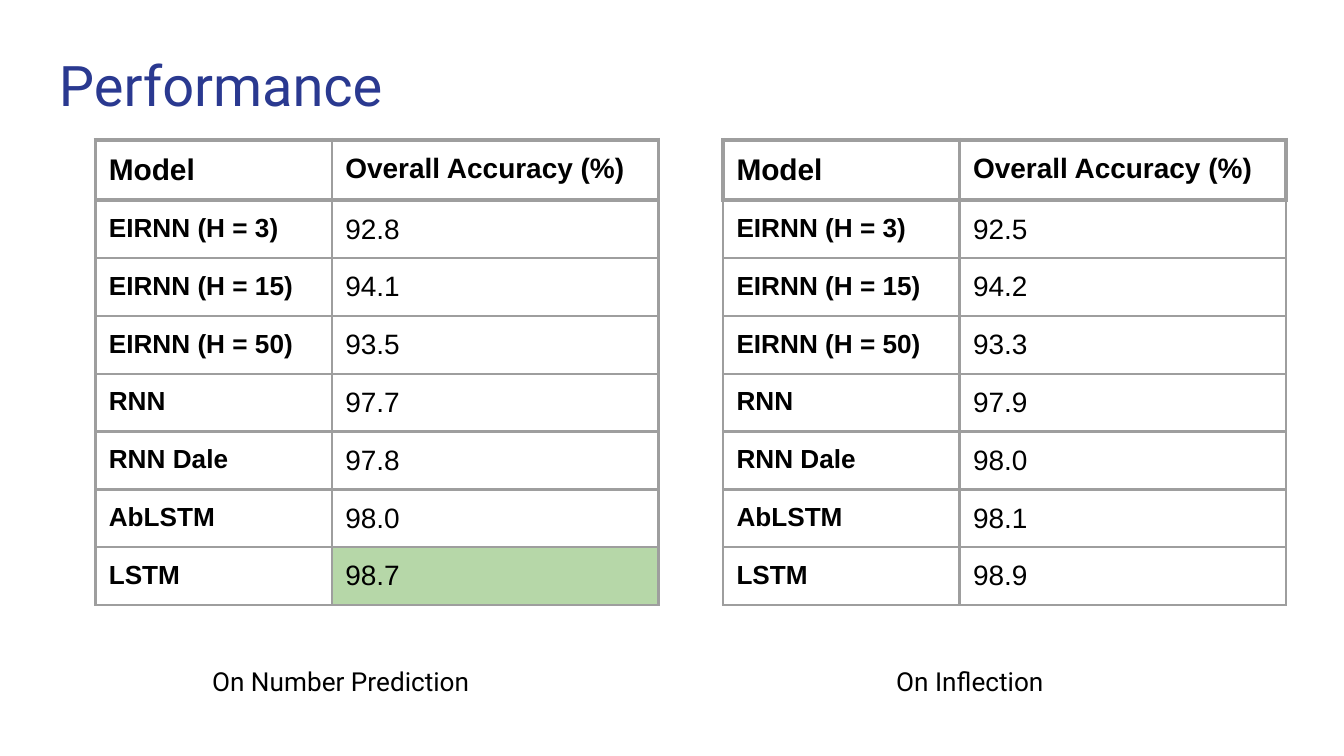
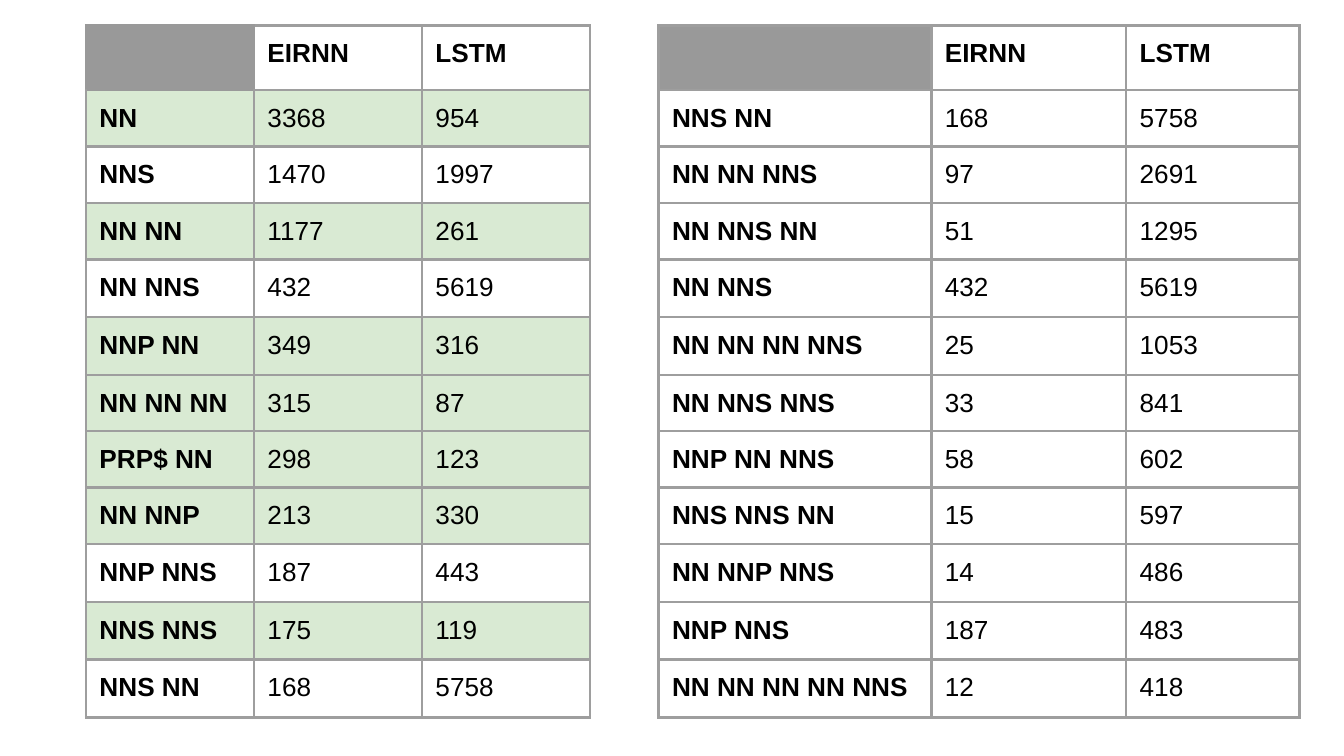
from lxml.etree import SubElement
from pptx import Presentation
from pptx.dml.color import RGBColor
from pptx.oxml import parse_xml
from pptx.oxml.ns import nsdecls, qn
from pptx.util import Inches, Pt

BLUE = RGBColor(0x2A, 0x39, 0x90)
BLACK = RGBColor(0x00, 0x00, 0x00)
WHITE = RGBColor(0xFF, 0xFF, 0xFF)
GRID_GRAY = RGBColor(0x9E, 0x9E, 0x9E)
CORNER_GRAY = RGBColor(0x99, 0x99, 0x99)
BEST_GREEN = RGBColor(0xB6, 0xD7, 0xA8)
ROW_GREEN = RGBColor(0xD9, 0xEA, 0xD3)

INSET = Inches(0.1)
CELL_BOTTOM = Inches(0.08)  # keeps rows at their set height
THIN, THICK = Pt(1.5), Pt(2.25)
# Each side: border tag, offset of the neighbour, the neighbour's facing side
SIDES = {
    "left": ("a:lnL", 0, -1, "right"),
    "right": ("a:lnR", 0, 1, "left"),
    "top": ("a:lnT", -1, 0, "bottom"),
    "bottom": ("a:lnB", 1, 0, "top"),
}

ACCURACY_COLUMNS = (1.76, 2.43)
ACCURACY_ROWS = [0.45] + [0.43] * 7
MODELS = ("EIRNN (H = 3)", "EIRNN (H = 15)", "EIRNN (H = 50)", "RNN",
          "RNN Dale", "AbLSTM", "LSTM")
NUMBER_ACCURACY = ("92.8", "94.1", "93.5", "97.7", "97.8", "98.0", "98.7")
INFLECTION_ACCURACY = ("92.5", "94.2", "93.3", "97.9", "98.0", "98.1", "98.9")

COUNT_ROWS = [0.48] + [0.42] * 3 + [0.43] * 2 + [0.42] * 3 + [0.43] * 3
COUNT_HEADER = ("", "EIRNN", "LSTM")
EIRNN_COUNTS = [
    ("NN", 3368, 954),
    ("NNS", 1470, 1997),
    ("NN NN", 1177, 261),
    ("NN NNS", 432, 5619),
    ("NNP NN", 349, 316),
    ("NN NN NN", 315, 87),
    ("PRP$ NN", 298, 123),
    ("NN NNP", 213, 330),
    ("NNP NNS", 187, 443),
    ("NNS NNS", 175, 119),
    ("NNS NN", 168, 5758),
]
LSTM_COUNTS = [
    ("NNS NN", 168, 5758),
    ("NN NN NNS", 97, 2691),
    ("NN NNS NN", 51, 1295),
    ("NN NNS", 432, 5619),
    ("NN NN NN NNS", 25, 1053),
    ("NN NNS NNS", 33, 841),
    ("NNP NN NNS", 58, 602),
    ("NNS NNS NN", 15, 597),
    ("NN NNP NNS", 14, 486),
    ("NNP NNS", 187, 483),
    ("NN NN NN NN NNS", 12, 418),
]
GREEN_PATTERNS = {"NN", "NN NN", "NNP NN", "NN NN NN", "PRP$ NN", "NN NNP",
                  "NNS NNS"}


def write(frame, text, size=14, font="Arial", color=BLACK, bold=False):
    run = frame.paragraphs[0].add_run()
    run.text = text
    run.font.size = Pt(size)
    run.font.name = font
    run.font.color.rgb = color
    run.font.bold = bold


def add_label(slide, left, top, width, height, text, **style):
    frame = slide.shapes.add_textbox(
        Inches(left), Inches(top), Inches(width), Inches(height)).text_frame
    frame.word_wrap = True
    frame.margin_left = frame.margin_right = INSET
    frame.margin_top = frame.margin_bottom = INSET
    write(frame, text, font="Roboto", **style)


def set_edge(cell, side, color, width):
    properties = cell._tc.get_or_add_tcPr()
    tag = SIDES[side][0]
    edge = properties.find(qn(tag))
    if edge is None:
        edge = parse_xml(f"<{tag} {nsdecls('a')}><a:solidFill><a:srgbClr/>"
                         f"</a:solidFill></{tag}>")
        SubElement(edge, qn("a:prstDash")).set("val", "solid")
        properties.insert(list(SIDES).index(side), edge)
    edge.set("w", str(width))
    edge.find(f".//{qn('a:srgbClr')}").set("val", str(color))


def frame_cell(table, row, column, sides=SIDES, color=GRID_GRAY, width=THICK):
    """Set borders of a cell and the facing borders of its neighbours."""
    for side in sides:
        set_edge(table.cell(row, column), side, color, width)
        _, down, across, facing = SIDES[side]
        next_row, next_column = row + down, column + across
        if (0 <= next_row < len(table.rows)
                and 0 <= next_column < len(table.columns)):
            set_edge(table.cell(next_row, next_column), facing, color, width)


def add_grid(slide, left, top, widths, heights, rows, size_of, fill_of):
    table = slide.shapes.add_table(
        len(rows), len(widths), Inches(left), Inches(top),
        Inches(sum(widths)), Inches(sum(heights))).table
    table.first_row = table.horz_banding = False
    for column, width in zip(table.columns, widths):
        column.width = Inches(width)
    for row, height in zip(table.rows, heights):
        row.height = Inches(height)
    for r, values in enumerate(rows):
        for c, value in enumerate(values):
            cell = table.cell(r, c)
            cell.margin_left = cell.margin_right = cell.margin_top = INSET
            cell.margin_bottom = CELL_BOTTOM
            if value != "":
                write(cell.text_frame, str(value), size=size_of(r, c),
                      bold=r == 0 or c == 0)
            for side in SIDES:
                set_edge(cell, side, GRID_GRAY, THIN)
            fill = fill_of(r, c)
            if fill is None:
                cell.fill.background()
            else:
                cell.fill.solid()
                cell.fill.fore_color.rgb = fill
    return table


def add_accuracy_table(slide, left, top, accuracy, best=None, thick_divider=True):
    def size_of(r, c):
        return 15 if c else 14 if r else 16

    def fill_of(r, c):
        if (r, c) == (0, 0):
            return WHITE
        return BEST_GREEN if c and rows[r][c] == best else None

    rows = [("Model", "Overall Accuracy (%)"), *zip(MODELS, accuracy)]
    table = add_grid(slide, left, top, ACCURACY_COLUMNS, ACCURACY_ROWS, rows,
                     size_of, fill_of)
    for column, outer in enumerate(("left", "right")):
        frame_cell(table, 0, column, ("top", "bottom", outer))
    if thick_divider:
        frame_cell(table, 0, 0, ("right",))


def add_count_table(slide, left, top, widths, counts, green=()):
    def fill_of(r, c):
        if (r, c) == (0, 0):
            return CORNER_GRAY
        return ROW_GREEN if rows[r][0] in green else None

    rows = [COUNT_HEADER, *counts]
    return add_grid(slide, left, top, widths, COUNT_ROWS, rows,
                    lambda r, c: 14, fill_of)


def build_performance(slide):
    add_label(slide, 0.34, 0.28, 9.32, 0.66, "Performance", size=30, color=BLUE)
    # Accuracy on the two tasks
    add_accuracy_table(slide, 0.71, 1.04, NUMBER_ACCURACY, best="98.7",
                       thick_divider=False)
    add_accuracy_table(slide, 5.38, 1.04, INFLECTION_ACCURACY)
    # Captions
    for left, task in ((1.48, "On Number Prediction"), (6.57, "On Inflection")):
        add_label(slide, left, 4.85, 2.2, 0.41, task)


def build_pattern_counts(slide):
    # Patterns ranked by EIRNN, then by LSTM
    eirnn_table = add_count_table(slide, 0.64, 0.19, [1.25] * 3, EIRNN_COUNTS,
                                  green=GREEN_PATTERNS)
    frame_cell(eirnn_table, 0, 0, color=CORNER_GRAY, width=THIN)
    add_count_table(slide, 4.9, 0.19, (2.03, 1.45, 1.29), LSTM_COUNTS)


def main():
    deck = Presentation()
    # Widescreen, 16 to 9
    deck.slide_width = Inches(10)
    deck.slide_height = deck.slide_width * 9 // 16
    for build in (build_performance, build_pattern_counts):
        build(deck.slides.add_slide(deck.slide_layouts[6]))
    deck.save("out.pptx")


if __name__ == "__main__":
    main()
